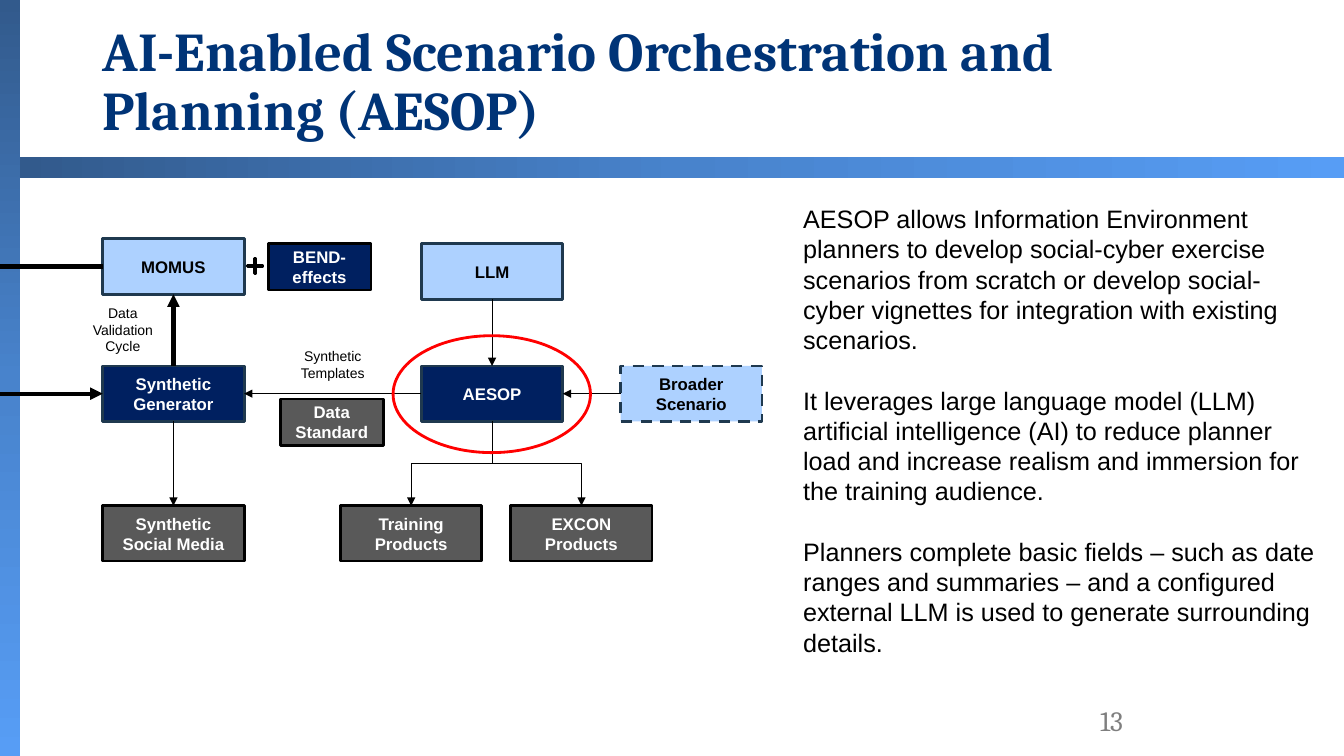
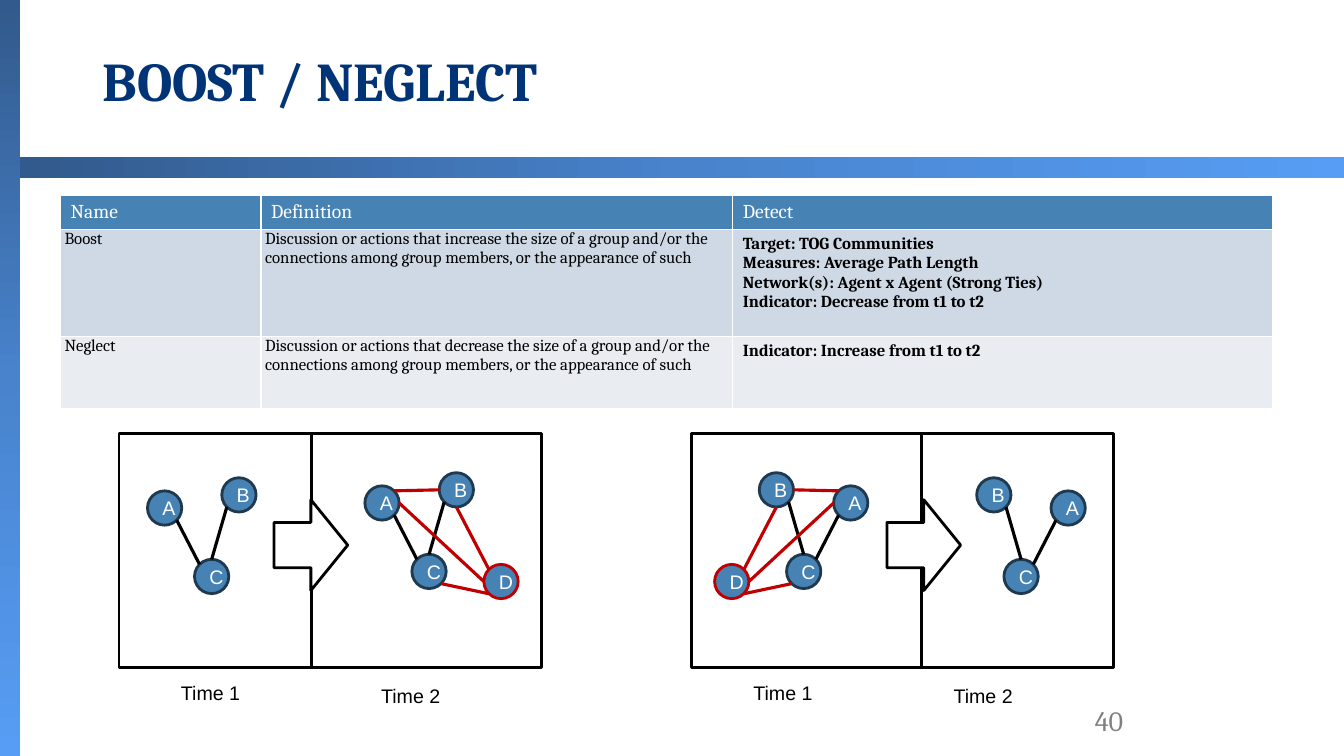
from copy import deepcopy
from dataclasses import dataclass, replace

from lxml.etree import SubElement
from pptx import Presentation
from pptx.dml.color import RGBColor
from pptx.enum.dml import MSO_LINE
from pptx.enum.shapes import MSO_CONNECTOR, MSO_SHAPE
from pptx.enum.text import MSO_ANCHOR, PP_ALIGN
from pptx.oxml.ns import qn
from pptx.util import Pt


@dataclass(frozen=True)
class TextStyle:
    """Type settings for one kind of text."""
    size: float
    colour: str = "000000"
    bold: bool = False
    font: str = "Arial"
    align: PP_ALIGN = PP_ALIGN.LEFT


@dataclass(frozen=True)
class Theme:
    """Colours and type styles of the presentation."""
    gradient: tuple = ("325A8C", "4883CC", "579DF5")
    black: str = "000000"
    white: str = "FFFFFF"
    navy: str = "002060"
    sky: str = "ADD1FF"
    grey: str = "595959"
    steel: str = "4682B4"
    outline: str = "1F394F"
    red: str = "C00000"
    highlight: str = "FF0000"
    bands: tuple = ("CFD8E5", "E9EDF2")
    title: TextStyle = TextStyle(39, "003477", True, "Cambria")
    number: TextStyle = TextStyle(20, "7F7F7F", False, "Cambria", PP_ALIGN.RIGHT)
    body: TextStyle = TextStyle(18)
    box: TextStyle = TextStyle(12, "FFFFFF", True, align=PP_ALIGN.CENTER)
    label: TextStyle = TextStyle(10, align=PP_ALIGN.CENTER)
    node: TextStyle = TextStyle(14, "FFFFFF", align=PP_ALIGN.CENTER)
    caption: TextStyle = TextStyle(14, align=PP_ALIGN.CENTER)
    header: TextStyle = TextStyle(14, "FFFFFF", font="Cambria")
    cell: TextStyle = TextStyle(12, font="Cambria")


THEME = Theme()
TOP, LEFT, BOTTOM, RIGHT = range(4)
BOX_WIDTH, BOX_HEIGHT = 101, 39.6
NODE_RADIUS = 12.25
FRAME_TOP, FRAME_WIDTH, FRAME_HEIGHT = 309.6, 301.7, 167
DIVIDER = 137.5
DIAGONAL = 0.71
COMPASS = {
    "N": (0, -1), "S": (0, 1), "W": (-1, 0), "E": (1, 0),
    "NW": (-DIAGONAL, -DIAGONAL), "NE": (DIAGONAL, -DIAGONAL),
    "SW": (-DIAGONAL, DIAGONAL), "SE": (DIAGONAL, DIAGONAL),
}
BEFORE = {"A": (32.6, 53.3), "B": (85.7, 43.9), "C": (66.2, 102.2)}
AFTER = {name: (x + 155.3, y - 3.6) for name, (x, y) in BEFORE.items()}
AFTER["D"] = (272.9, 105.8)
OLD_LINKS = (("C", "N", "B", "SW"), ("C", "NW", "A", "SE"))
NEW_LINKS = (("A", "NE", "B", "W"), ("B", "S", "D", "NW"),
             ("A", "E", "D", "W"), ("C", "SE", "D", "SW"))


def rgb(colour):
    """Turn a hexadecimal string into a colour."""
    return RGBColor.from_string(colour)


def write_text(frame, lines, style, gap=0):
    """Write one paragraph for each line, with a gap between them."""
    for index, line in enumerate(lines):
        paragraph = frame.add_paragraph() if index else frame.paragraphs[0]
        paragraph.alignment = style.align
        if index:
            paragraph.space_before = Pt(gap)
        run = paragraph.add_run()
        run.text = line
        run.font.name = style.font
        run.font.size = Pt(style.size)
        run.font.bold = style.bold
        run.font.color.rgb = rgb(style.colour)


def add_text(slide, x, y, width, height, lines, style, anchor=MSO_ANCHOR.TOP, wrap=True, gap=0):
    """Add a text box and return its text frame."""
    frame = slide.shapes.add_textbox(Pt(x), Pt(y), Pt(width), Pt(height)).text_frame
    frame.word_wrap = wrap
    frame.vertical_anchor = anchor
    write_text(frame, lines, style, gap)
    return frame


def add_figure(slide, kind, x, y, width, height, fill=None, line=None, weight=2):
    """Add a flat preset shape."""
    shape = slide.shapes.add_shape(kind, Pt(x), Pt(y), Pt(width), Pt(height))
    shape.shadow.inherit = False
    if fill:
        shape.fill.solid()
        shape.fill.fore_color.rgb = rgb(fill)
    else:
        shape.fill.background()
    if line:
        shape.line.color.rgb = rgb(line)
        shape.line.width = Pt(weight)
    else:
        shape.line.fill.background()
    return shape


def add_box(slide, x, y, lines, fill, line, width=BOX_WIDTH, height=BOX_HEIGHT):
    """Add a labelled rectangle of the flow chart."""
    shape = add_figure(slide, MSO_SHAPE.RECTANGLE, x, y, width, height, fill, line)
    colour = THEME.black if fill == THEME.sky else THEME.white
    write_text(shape.text_frame, lines, replace(THEME.box, colour=colour))
    return shape


def add_band(slide, x, y, width, height, angle):
    """Add a gradient band."""
    band = add_figure(slide, MSO_SHAPE.RECTANGLE, x, y, width, height)
    band.fill.gradient()
    band.fill.gradient_angle = angle
    stops = band.element.spPr.find(qn("a:gradFill")).find(qn("a:gsLst"))
    stops.insert(1, deepcopy(stops[0]))
    for index, (stop, colour) in enumerate(zip(band.fill.gradient_stops, THEME.gradient)):
        stop.color.rgb = rgb(colour)
        stop.position = index / 2


def add_line(slide, start, end, colour=THEME.black, weight=2.25, arrow=False,
             kind=MSO_CONNECTOR.STRAIGHT):
    """Add a flat connector between two points."""
    connector = slide.shapes.add_connector(kind, *(Pt(value) for value in (*start, *end)))
    connector.line.width = Pt(weight)
    connector.line.color.rgb = rgb(colour)
    properties = connector.element.spPr
    if arrow:
        SubElement(properties.find(qn("a:ln")), qn("a:tailEnd"), type="triangle")
    SubElement(properties, qn("a:effectLst"))
    return connector


def join(slide, source, source_side, target, target_side, weight=0.75,
         kind=MSO_CONNECTOR.STRAIGHT):
    """Join the sides of two boxes with an arrow."""
    connector = add_line(slide, (0, 0), (0, 0), weight=weight, arrow=True, kind=kind)
    connector.begin_connect(source, source_side)
    connector.end_connect(target, target_side)
    return connector


def branch(slide, source, target):
    """Join a box to a lower one with an elbow that leaves downwards."""
    connector = join(slide, source, BOTTOM, target, TOP, kind=MSO_CONNECTOR.ELBOW)
    to_right = connector.end_x > connector.begin_x
    across, down = connector.width, connector.height
    connector.left += (across - down) // 2
    connector.top += (down - across) // 2
    connector.width, connector.height = down, across
    connector.rotation = 270 if to_right else 90
    connector.element.spPr.xfrm.set("flipH", "1" if to_right else "0")


def add_page(presentation, title, number):
    """Add a slide with the shared bands, title and number."""
    slide = presentation.slides.add_slide(presentation.slide_layouts[6])
    add_band(slide, 0, 0, 14.4, 540, 270)
    add_band(slide, 14.4, 112.5, 945.6, 14.4, 0)
    frame = add_text(slide, 66.2, 11.5, 828, 96.5, [title], THEME.title, MSO_ANCHOR.MIDDLE)
    frame.paragraphs[0].line_spacing = 0.9
    add_text(slide, 679, 500, 130.3, 28.8, [number], THEME.number, MSO_ANCHOR.MIDDLE)
    return slide


def add_flow_chart(slide):
    """Draw the flow chart around the planning tool."""
    navy, sky, grey = THEME.navy, THEME.sky, THEME.grey
    outline, black = THEME.outline, THEME.black
    first, centre, middle, bottom = 73.4, 301, 261.4, 361.2
    aesop = add_box(slide, centre, middle, ["AESOP"], navy, outline)
    momus = add_box(slide, first, 170.6, ["MOMUS"], sky, outline)
    media = add_box(slide, first, bottom, ["Synthetic Social Media"], grey, black)
    generator = add_box(slide, first, middle, ["Synthetic Generator"], navy, outline)
    broader = add_box(slide, 443.3, middle, ["Broader Scenario"], sky, outline)
    broader.line.dash_style = MSO_LINE.DASH
    excon = add_box(slide, 364.8, bottom, ["EXCON Products"], grey, black)
    training = add_box(slide, 243.2, bottom, ["Training Products"], grey, black)
    model = add_box(slide, centre, 174.2, ["LLM"], sky, outline)

    join(slide, generator, BOTTOM, media, TOP)
    join(slide, generator, TOP, momus, BOTTOM, 3)
    join(slide, aesop, LEFT, generator, RIGHT)
    join(slide, model, BOTTOM, aesop, TOP)
    join(slide, broader, LEFT, aesop, RIGHT)
    branch(slide, aesop, excon)
    branch(slide, aesop, training)
    momus_y, generator_y = 170.6 + BOX_HEIGHT / 2, middle + BOX_HEIGHT / 2
    add_line(slide, (first, momus_y), (0, momus_y), weight=3).begin_connect(momus, LEFT)
    entry = add_line(slide, (0, generator_y), (first, generator_y), weight=3, arrow=True)
    entry.end_connect(generator, LEFT)

    add_text(slide, 193, 244.8, 89.3, 31.7, ["Synthetic Templates"], THEME.label)
    add_text(slide, 51.8, 213.8, 72, 43.9, ["Data Validation", "Cycle"], THEME.label)
    add_box(slide, 200.2, 285, ["Data", "Standard"], grey, black, 73.5, 33)
    add_box(slide, 191.5, 174.2, ["BEND-effects"], navy, black, 73.5, 33)
    plus = add_figure(slide, MSO_SHAPE.CROSS, 177, 184.5, 10.8, 10.8, black, black)
    plus.adjustments[0] = 0.46
    add_figure(slide, MSO_SHAPE.OVAL, 280.8, 239.8, 141, 83.5, line=THEME.highlight)


def add_definitions(slide, rows):
    """Add the table of names, definitions and detection rules."""
    widths, heights = (143.3, 337, 385.2), (23.6, 76.5, 51.5)
    table = slide.shapes.add_table(len(rows), len(widths), Pt(43.2), Pt(139.7),
                                   Pt(sum(widths)), Pt(sum(heights))).table
    table.first_row = table.horz_banding = False
    for column, width in zip(table.columns, widths):
        column.width = Pt(width)
    for row, height in zip(table.rows, heights):
        row.height = Pt(height)
    for row_index, row in enumerate(rows):
        for column_index, lines in enumerate(row):
            cell = table.cell(row_index, column_index)
            add_borders(cell)
            cell.fill.solid()
            fill = THEME.bands[row_index - 1] if row_index else THEME.steel
            cell.fill.fore_color.rgb = rgb(fill)
            detect = column_index == 2
            if row_index and not detect:
                cell.margin_left = cell.margin_right = Pt(2.9)
                cell.margin_top = cell.margin_bottom = 0
            style = replace(THEME.cell, bold=detect) if row_index else THEME.header
            write_text(cell.text_frame, lines, style)


def add_borders(cell):
    """Give a table cell thin white borders."""
    properties = cell._tc.get_or_add_tcPr()
    for side in "LRTB":
        border = SubElement(properties, qn(f"a:ln{side}"), w=str(Pt(1)))
        SubElement(SubElement(border, qn("a:solidFill")), qn("a:srgbClr"), val=THEME.white)


def add_network(slide, left, arrow_left, mirrored=False):
    """Draw a framed pair of networks, mirrored on request."""
    def place(x, y):
        """Turn an offset in the frame into a point on the slide."""
        return left + (FRAME_WIDTH - x if mirrored else x), FRAME_TOP + y

    def site(nodes, name, direction):
        """Find the point on a node's edge in a compass direction."""
        (x, y), (across, down) = nodes[name], COMPASS[direction]
        return place(x + NODE_RADIUS * across, y + NODE_RADIUS * down)

    for nodes in (BEFORE, AFTER):
        for name, offset in nodes.items():
            x, y = place(*offset)
            line = THEME.red if name == "D" else THEME.outline
            node = add_figure(slide, MSO_SHAPE.OVAL, x - NODE_RADIUS, y - NODE_RADIUS,
                              2 * NODE_RADIUS, 2 * NODE_RADIUS, THEME.steel, line)
            write_text(node.text_frame, [name], THEME.node)
    add_figure(slide, MSO_SHAPE.RECTANGLE, left, FRAME_TOP, FRAME_WIDTH, FRAME_HEIGHT,
               line=THEME.black)
    add_line(slide, place(DIVIDER, 0), place(DIVIDER, FRAME_HEIGHT))
    for nodes, links, colour in ((BEFORE, OLD_LINKS, THEME.black),
                                 (AFTER, OLD_LINKS, THEME.black),
                                 (AFTER, NEW_LINKS, THEME.red)):
        for start, start_side, end, end_side in links:
            add_line(slide, site(nodes, start, start_side), site(nodes, end, end_side), colour)
    add_figure(slide, MSO_SHAPE.RIGHT_ARROW, arrow_left, 357, 52.6, 64.8,
               THEME.white, THEME.black)
    for text, x, y in (("Time 1", 36.6, 483), ("Time 2", 179.6, 484.6)):
        add_text(slide, left + x, y, 57.6, 24.4, [text], THEME.caption, wrap=False)


def main():
    """Build and save the presentation."""
    presentation = Presentation()
    presentation.slide_width, presentation.slide_height = Pt(960), Pt(540)

    slide = add_page(presentation, "AI-Enabled Scenario Orchestration and Planning (AESOP)", "13")
    add_text(slide, 566.6, 141.8, 383, 334, [
        "AESOP allows Information Environment planners to develop social-cyber exercise scenarios "
        "from scratch or develop social-cyber vignettes for integration with existing scenarios.",
        "It leverages large language model (LLM) artificial intelligence (AI) to reduce planner "
        "load and increase realism and immersion for the training audience.",
        "Planners complete basic fields – such as date ranges and summaries – and a configured "
        "external LLM is used to generate surrounding details.",
    ], THEME.body, gap=21.6)
    add_flow_chart(slide)

    slide = add_page(presentation, "BOOST / NEGLECT", "40")
    definition = ("Discussion or actions that {} the size of a group and/or the connections "
                  "among group members, or the appearance of such")
    add_definitions(slide, (
        (["Name"], ["Definition"], ["Detect"]),
        (["Boost"], [definition.format("increase")],
         ["Target: TOG Communities", "Measures: Average Path Length",
          "Network(s): Agent x Agent (Strong Ties)", "Indicator: Decrease from t1 to t2"]),
        (["Neglect"], [definition.format("decrease")], ["Indicator: Increase from t1 to t2"]),
    ))
    add_network(slide, 85, 195.8)
    add_network(slide, 493.9, 633.6, mirrored=True)
    presentation.save("out.pptx")


if __name__ == "__main__":
    main()
